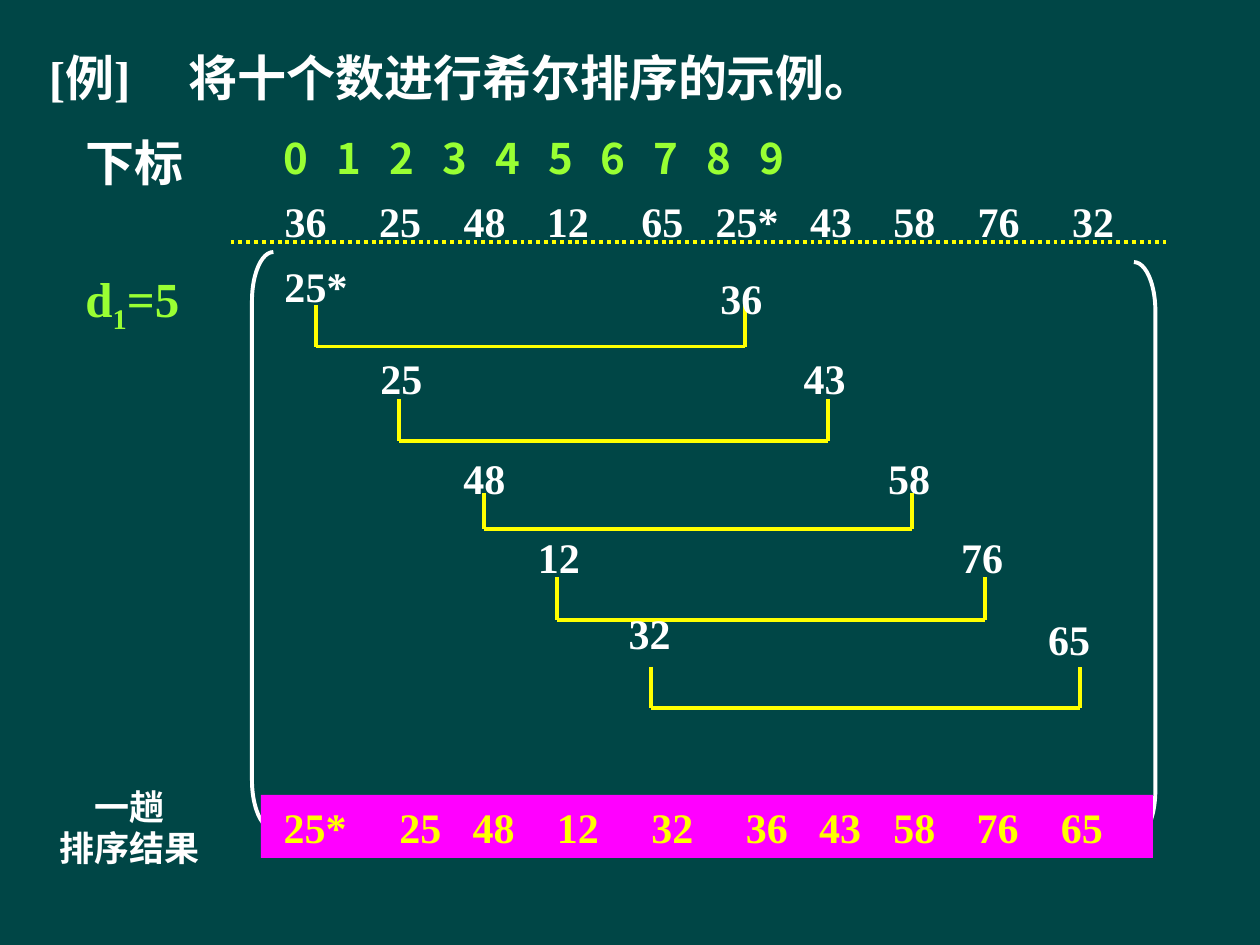
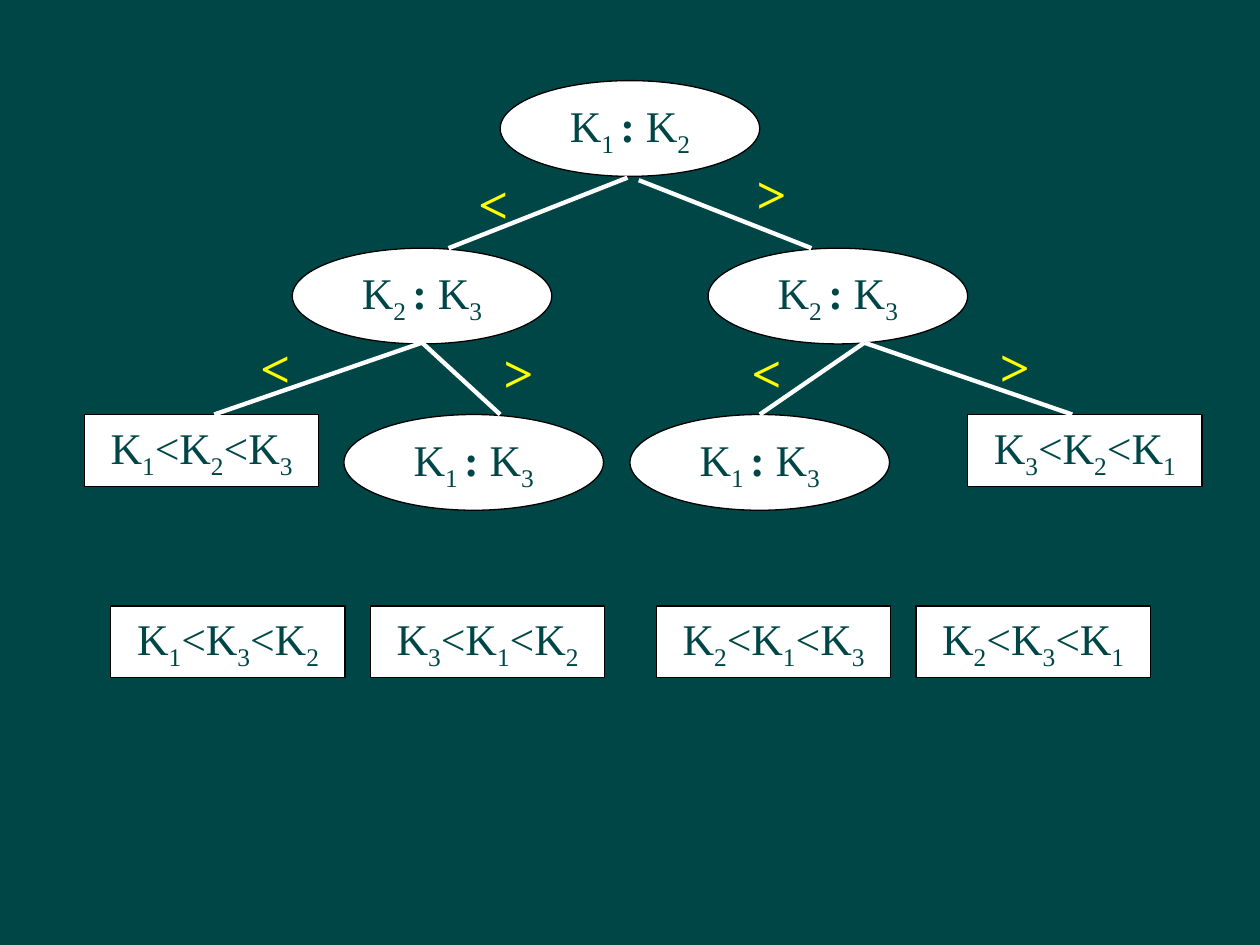
import pptx
import pptx.dml.color
import pptx.enum.dml
import pptx.enum.shapes
import pptx.enum.text
import pptx.oxml.ns
import pptx.util
from lxml import etree

Inches, Pt = pptx.util.Inches, pptx.util.Pt
RGBColor = pptx.dml.color.RGBColor
SHAPE = pptx.enum.shapes.MSO_SHAPE
ALIGN = pptx.enum.text.PP_ALIGN
ANCHOR = pptx.enum.text.MSO_ANCHOR
qn = pptx.oxml.ns.qn

# Shared look
TEAL = RGBColor(0x00, 0x46, 0x46)
WHITE = RGBColor(0xFF, 0xFF, 0xFF)
BLACK = RGBColor(0x00, 0x00, 0x00)
YELLOW = RGBColor(0xFF, 0xFF, 0x00)
GREEN = RGBColor(0x99, 0xFF, 0x33)
MAGENTA = RGBColor(0xFF, 0x00, 0xFF)
SERIF, SANS = "Times New Roman", "Noto Sans CJK SC"

# Shell sort content
TITLE = "[例]\t将十个数进行希尔排序的示例。"
INDEX_LABEL = "下标"
GAP_LABEL = [("d", ""), ("1", "sub"), ("=5", "")]
RESULT_LABEL = "一趟\n排序结果"
INDEXES = [(str(i), 2.25 + 0.42 * i) for i in range(10)]  # text, left edge
NUMBERS = [("36", 2.26), ("25", 3.01), ("48", 3.68), ("12", 4.34), ("65", 5.09),
           ("25*", 5.68), ("43", 6.43), ("58", 7.09), ("76", 7.76), ("32", 8.51)]
RESULTS = [("25*", 2.25), ("25", 3.17), ("48", 3.75), ("12", 4.42), ("32", 5.17),
           ("36", 5.92), ("43", 6.5), ("58", 7.09), ("76", 7.75), ("65", 8.42)]
# (left number, x, y), (right number, x, y), (link left, top, depth)
PAIRS = [
    (("25*", 2.16, 2.02), ("36", 5.62, 2.11), (2.51, 2.42, 0.33)),
    (("25", 2.92, 2.75), ("43", 6.28, 2.75), (3.17, 3.17, 0.33)),
    (("48", 3.58, 3.54), ("58", 6.95, 3.54), (3.84, 3.91, 0.29)),
    (("12", 4.17, 4.17), ("76", 7.53, 4.17), (4.42, 4.58, 0.34)),
    (("32", 4.89, 4.77), ("65", 8.22, 4.82), (5.17, 5.29, 0.33)),
]
LINK_WIDTH = 3.4

# Decision tree content
COMPARISONS = [("12", 3.97, 0.64), ("23", 2.32, 1.97), ("23", 5.62, 1.97),
               ("13", 2.73, 3.29), ("13", 5.0, 3.29)]
ORDERS = [("123", 0.67, 3.29), ("321", 7.68, 3.29), ("132", 0.88, 4.81),
          ("312", 2.94, 4.81), ("213", 5.21, 4.81), ("231", 7.27, 4.81)]
BRANCHES = [(3.35, 2.72, 1.7, 3.29), (3.35, 2.72, 3.97, 3.29),
            (6.86, 2.72, 6.03, 3.29), (6.86, 2.72, 8.51, 3.29),
            (4.98, 1.41, 3.56, 1.97), (5.07, 1.43, 6.44, 1.97)]
SIGNS = [("<", 3.5, 1.31), ("<", 1.77, 2.61), ("<", 5.67, 2.65),
         (">", 5.71, 1.23), (">", 7.64, 2.6), (">", 3.7, 2.65)]


def new_slide(presentation):
    slide = presentation.slides.add_slide(presentation.slide_layouts[6])
    slide.background.fill.solid()
    slide.background.fill.fore_color.rgb = TEAL
    return slide


def format_run(run, size, color, font=SERIF, bold=True):
    run.font.size, run.font.bold = Pt(size), bold
    run.font.color.rgb = color
    run.font.name = font
    properties = run.font._element
    etree.SubElement(properties, qn("a:ea")).set("typeface", SANS)


def set_insets(text_frame, side, top):
    text_frame.margin_left = text_frame.margin_right = Inches(side)
    text_frame.margin_top = text_frame.margin_bottom = Inches(top)


def add_text(slide, text, left, top, width, height, size=24, color=WHITE,
             font=SERIF, align=ALIGN.LEFT):
    box = slide.shapes.add_textbox(Inches(left), Inches(top), Inches(width), Inches(height))
    frame = box.text_frame
    frame.word_wrap = True
    set_insets(frame, 0.1, 0.05)
    frame.text = text
    for paragraph in frame.paragraphs:
        paragraph.alignment = align
        for run in paragraph.runs:
            format_run(run, size, color, font)
    return box


def add_parts(paragraph, parts, size, color, bold):
    """Adds runs; the style of each is "", "sub" or "bold"."""
    for text, style in parts:
        run = paragraph.add_run()
        run.text = text
        format_run(run, size, color, bold=bold or style == "bold")
        if style == "sub":
            run.font._element.set("baseline", "-25000")


def set_tabs(paragraph, stops):
    tab_list = etree.SubElement(paragraph._p.get_or_add_pPr(), qn("a:tabLst"))
    for stop in stops:
        tab = etree.SubElement(tab_list, qn("a:tab"))
        tab.set("pos", str(int(Inches(stop))))
        tab.set("algn", "l")


def fill_row(shape, entries, color, font=SERIF):
    """Writes one line of entries, each starting at its own left edge."""
    first = entries[0][1]
    frame = shape.text_frame
    frame.margin_left = Inches(first) - shape.left
    frame.text = "\t".join(text for text, _ in entries)
    set_tabs(frame.paragraphs[0], [left - first for _, left in entries[1:]])
    format_run(frame.paragraphs[0].runs[0], 24, color, font)


def add_line(slide, x1, y1, x2, y2, color, width=2.25):
    line = slide.shapes.add_connector(pptx.enum.shapes.MSO_CONNECTOR.STRAIGHT,
                                      Inches(x1), Inches(y1), Inches(x2), Inches(y2))
    line.line.color.rgb = color
    line.line.width = Pt(width)
    etree.SubElement(line._element.spPr, qn("a:effectLst"))
    return line


def add_shape(slide, kind, left, top, width, height, fill=None, line=None, line_width=0.75):
    shape = slide.shapes.add_shape(kind, Inches(left), Inches(top), Inches(width), Inches(height))
    shape.shadow.inherit = False
    if fill is None:
        shape.fill.background()
    else:
        shape.fill.solid()
        shape.fill.fore_color.rgb = fill
    if line is None:
        shape.line.fill.background()
    else:
        shape.line.color.rgb = line
        shape.line.width = Pt(line_width)
    return shape


def add_node(slide, kind, left, top, width, height, parts):
    node = add_shape(slide, kind, left, top, width, height, WHITE, BLACK)
    set_insets(node.text_frame, 0.02, 0.01)
    node.text_frame.vertical_anchor = ANCHOR.MIDDLE
    paragraph = node.text_frame.paragraphs[0]
    paragraph.alignment = ALIGN.CENTER
    add_parts(paragraph, parts, 25, TEAL, bold=False)


def build_shell_sort(presentation):
    slide = new_slide(presentation)

    # Title and row labels
    title = add_text(slide, TITLE, 0.29, 0.33, 9.5, 0.66, size=28)
    set_tabs(title.text_frame.paragraphs[0], [1.11])
    add_text(slide, INDEX_LABEL, 0.58, 1, 1.17, 0.57, size=28, font=SANS)
    gap = add_text(slide, "", 0.58, 2.08, 1.08, 0.57)
    add_parts(gap.text_frame.paragraphs[0], GAP_LABEL, 28, GREEN, bold=True)

    # Index row and number row over a dotted rule
    rule = add_line(slide, 1.83, 1.92, 9.25, 1.92, YELLOW)
    rule.line.dash_style = pptx.enum.dml.MSO_LINE.ROUND_DOT
    fill_row(add_text(slide, "", 2, 1, 7.33, 0.5), INDEXES, GREEN, SANS)
    fill_row(add_text(slide, "", 2.08, 1.5, 7.33, 0.5), NUMBERS, WHITE)

    # Large brackets
    for kind, left, top in ((SHAPE.LEFT_BRACKET, 2, 2), (SHAPE.RIGHT_BRACKET, 9, 2.08)):
        bracket = add_shape(slide, kind, left, top, 0.17, 4.58, line=WHITE, line_width=2.25)
        bracket.adjustments[0] = 2.29

    # Compared pairs and their links
    for left_number, right_number, (left, top, depth) in PAIRS:
        right, bottom = left + LINK_WIDTH, top + depth
        add_line(slide, left, top, left, bottom, YELLOW)
        add_line(slide, left, bottom, right, bottom, YELLOW)
        add_line(slide, right, bottom, right, top, YELLOW)
        for number, x, y in (left_number, right_number):
            add_text(slide, number, x, y, 0.8, 0.5)

    # Result of the pass
    band = add_shape(slide, SHAPE.RECTANGLE, 2.07, 6.31, 7.08, 0.5, MAGENTA)
    set_insets(band.text_frame, 0.1, 0.05)
    band.text_frame.vertical_anchor = ANCHOR.TOP
    band.text_frame.paragraphs[0].alignment = ALIGN.LEFT
    fill_row(band, RESULTS, YELLOW)
    label = add_text(slide, RESULT_LABEL, 0.24, 6.23, 1.58, 0.82, size=20,
                     font=SANS, align=ALIGN.CENTER)
    for paragraph in label.text_frame.paragraphs:
        paragraph.line_spacing = 0.88
    label.text_frame.paragraphs[1].space_before = Pt(2)


def build_decision_tree(presentation):
    slide = new_slide(presentation)

    # Comparisons
    for (first, second), left, top in COMPARISONS:
        parts = [("K", ""), (first + " ", "sub"), (":", "bold"), (" K", ""), (second, "sub")]
        add_node(slide, SHAPE.OVAL, left, top, 2.06, 0.76, parts)

    # Resulting orders
    for keys, left, top in ORDERS:
        parts = []
        for key in keys:
            parts += [("<K" if parts else "K", ""), (key, "sub")]
        add_node(slide, SHAPE.RECTANGLE, left, top, 1.86, 0.57, parts)

    # Branches and their signs
    for branch in BRANCHES:
        add_line(slide, *branch, WHITE, 2.5)
    for sign, left, top in SIGNS:
        add_text(slide, sign, left, top, 0.83, 0.6, size=30, color=YELLOW, align=ALIGN.CENTER)


def main():
    presentation = pptx.Presentation()
    presentation.slide_width, presentation.slide_height = Inches(10), Inches(7.5)
    build_shell_sort(presentation)
    build_decision_tree(presentation)
    presentation.save("out.pptx")


if __name__ == "__main__":
    main()
